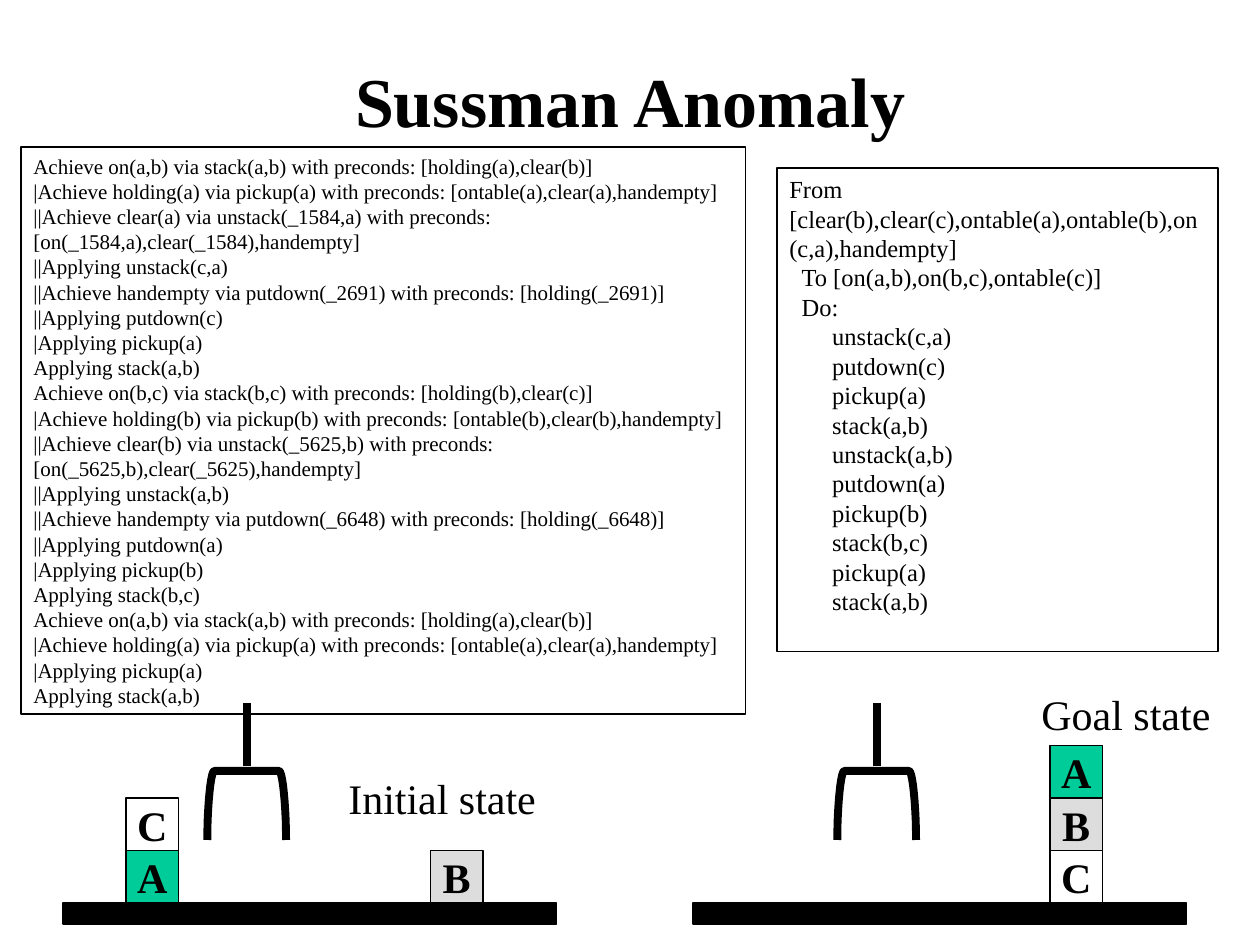
import pptx
import pptx.dml.color
import pptx.enum.shapes
import pptx.enum.text
import pptx.oxml.ns
import pptx.util
from lxml import etree

Pt = pptx.util.Pt
ALIGN = pptx.enum.text.PP_ALIGN
ANCHOR = pptx.enum.text.MSO_ANCHOR
RECTANGLE = pptx.enum.shapes.MSO_SHAPE.RECTANGLE

FONT = "Times New Roman"
COLORS = {"ink": "000000", "A": "00CC99", "B": "DDDDDD"}
BLOCK = 30
TABLE_TOP = 516

TRACE = [
    "Achieve on(a,b) via stack(a,b) with preconds: [holding(a),clear(b)]",
    "|Achieve holding(a) via pickup(a) with preconds: [ontable(a),clear(a),handempty]",
    "||Achieve clear(a) via unstack(_1584,a) with preconds: [on(_1584,a),clear(_1584),handempty]",
    "||Applying unstack(c,a)",
    "||Achieve handempty via putdown(_2691) with preconds: [holding(_2691)]",
    "||Applying putdown(c)",
    "|Applying pickup(a)",
    "Applying stack(a,b)",
    "Achieve on(b,c) via stack(b,c) with preconds: [holding(b),clear(c)]",
    "|Achieve holding(b) via pickup(b) with preconds: [ontable(b),clear(b),handempty]",
    "||Achieve clear(b) via unstack(_5625,b) with preconds: [on(_5625,b),clear(_5625),handempty]",
    "||Applying unstack(a,b)",
    "||Achieve handempty via putdown(_6648) with preconds: [holding(_6648)]",
    "||Applying putdown(a)",
    "|Applying pickup(b)",
    "Applying stack(b,c)",
    "Achieve on(a,b) via stack(a,b) with preconds: [holding(a),clear(b)]",
    "|Achieve holding(a) via pickup(a) with preconds: [ontable(a),clear(a),handempty]",
    "|Applying pickup(a)",
    "Applying stack(a,b)",
]
GOAL = [
    "From [clear(b),clear(c),ontable(a),ontable(b),on(c,a),handempty]",
    "To [on(a,b),on(b,c),ontable(c)]",
    "Do:",
]
ACTIONS = [
    "unstack(c,a)", "putdown(c)", "pickup(a)", "stack(a,b)", "unstack(a,b)",
    "putdown(a)", "pickup(b)", "stack(b,c)", "pickup(a)", "stack(a,b)",
]
PLAN_INDENTS = [0, 7, 7] + [24.5] * len(ACTIONS)


def color(name):
    return pptx.dml.color.RGBColor.from_string(COLORS[name])


def write(frame, lines, size, bold=False, align=ALIGN.LEFT, anchor=ANCHOR.TOP,
          wrap=True, indents=None):
    """Fill a frame with one paragraph per line; indents are in points."""
    frame.word_wrap = wrap
    frame.vertical_anchor = anchor
    frame.text = "\n".join(lines)
    for index, paragraph in enumerate(frame.paragraphs):
        paragraph.alignment = align
        if indents and indents[index]:
            paragraph._p.get_or_add_pPr().set("marL", str(Pt(indents[index])))
        for run in paragraph.runs:
            run.font.name = FONT
            run.font.size = Pt(size)
            run.font.bold = bold
            run.font.color.rgb = color("ink")


def stroke(outlined, width):
    outlined.line.color.rgb = color("ink")
    outlined.line.width = Pt(width)


def add_box(shapes, left, top, width, height, fill=None):
    box = shapes.add_shape(RECTANGLE, Pt(left), Pt(top), Pt(width), Pt(height))
    box.shadow.inherit = False
    if fill:
        box.fill.solid()
        box.fill.fore_color.rgb = color(fill)
    else:
        box.fill.background()
    stroke(box, 0.75)
    return box


def add_block(shapes, letter, left, level):
    block = add_box(shapes, left, TABLE_TOP - BLOCK * (level + 1), BLOCK, BLOCK,
                    letter if letter in COLORS else None)
    write(block.text_frame, [letter], 24, bold=True, align=ALIGN.CENTER,
          anchor=ANCHOR.MIDDLE, wrap=False)


def bezier(start, control1, control2, end, steps=10):
    for step in range(steps + 1):
        t = step / steps
        u = 1 - t
        yield tuple(u**3 * a + 3 * u * u * t * b + 3 * u * t * t * c + t**3 * d
                    for a, b, c, d in zip(start, control1, control2, end))


def add_gripper(shapes, center):
    """Draw the robot hand: two mirrored curved fingers and an arm."""
    finger = list(bezier((22.5, 480), (22.5, 460.5), (20.5, 440.5), (18.5, 440.5)))
    outline = [(center + x, y) for x, y in finger]
    outline += [(center - x, y) for x, y in reversed(finger)]
    points = [(Pt(x), Pt(y)) for x, y in outline]
    builder = shapes.build_freeform(*points[0])
    builder.add_line_segments(points[1:], close=False)
    hand = builder.convert_to_shape()
    hand.shadow.inherit = False
    hand.fill.background()
    stroke(hand, 4.5)

    arm = shapes.add_connector(pptx.enum.shapes.MSO_CONNECTOR.STRAIGHT,
                               Pt(center), Pt(402), Pt(center), Pt(438))
    stroke(arm, 4.5)
    etree.SubElement(arm._element.spPr, pptx.oxml.ns.qn("a:effectLst"))


def add_state(slide, left, blocks):
    """Group a table, its blocks (letter, offset, level) and the gripper."""
    shapes = slide.shapes.add_group_shape().shapes
    add_box(shapes, left, TABLE_TOP, 282, 12, "ink")
    for letter, offset, level in blocks:
        add_block(shapes, letter, left + offset, level)
    add_gripper(shapes, left + 105)


def add_label(slide, text, left, top, width):
    label = slide.shapes.add_textbox(Pt(left), Pt(top), Pt(width), Pt(36))
    write(label.text_frame, [text], 24, wrap=False)


def main():
    deck = pptx.Presentation()
    deck.slide_width, deck.slide_height = Pt(720), Pt(540)
    slide = deck.slides.add_slide(deck.slide_layouts[5])

    title = slide.shapes.title
    title.left, title.top, title.width, title.height = Pt(54), Pt(12), Pt(612), Pt(90)
    write(title.text_frame, ["Sussman Anomaly"], 40, bold=True,
          align=ALIGN.CENTER, anchor=ANCHOR.MIDDLE)

    add_state(slide, 36, [("A", 36, 0), ("B", 210, 0), ("C", 36, 1)])
    add_label(slide, "Initial state", 192, 438, 122)
    add_label(slide, "Goal state", 588, 390, 111)

    trace = add_box(slide.shapes, 12, 84, 414, 324)
    write(trace.text_frame, TRACE, 12)
    plan = add_box(slide.shapes, 444, 96, 252, 276.5)
    write(plan.text_frame, GOAL + ACTIONS, 14, indents=PLAN_INDENTS)

    add_state(slide, 396, [("A", 204, 2), ("B", 204, 1), ("C", 204, 0)])
    deck.save("out.pptx")


if __name__ == "__main__":
    main()
